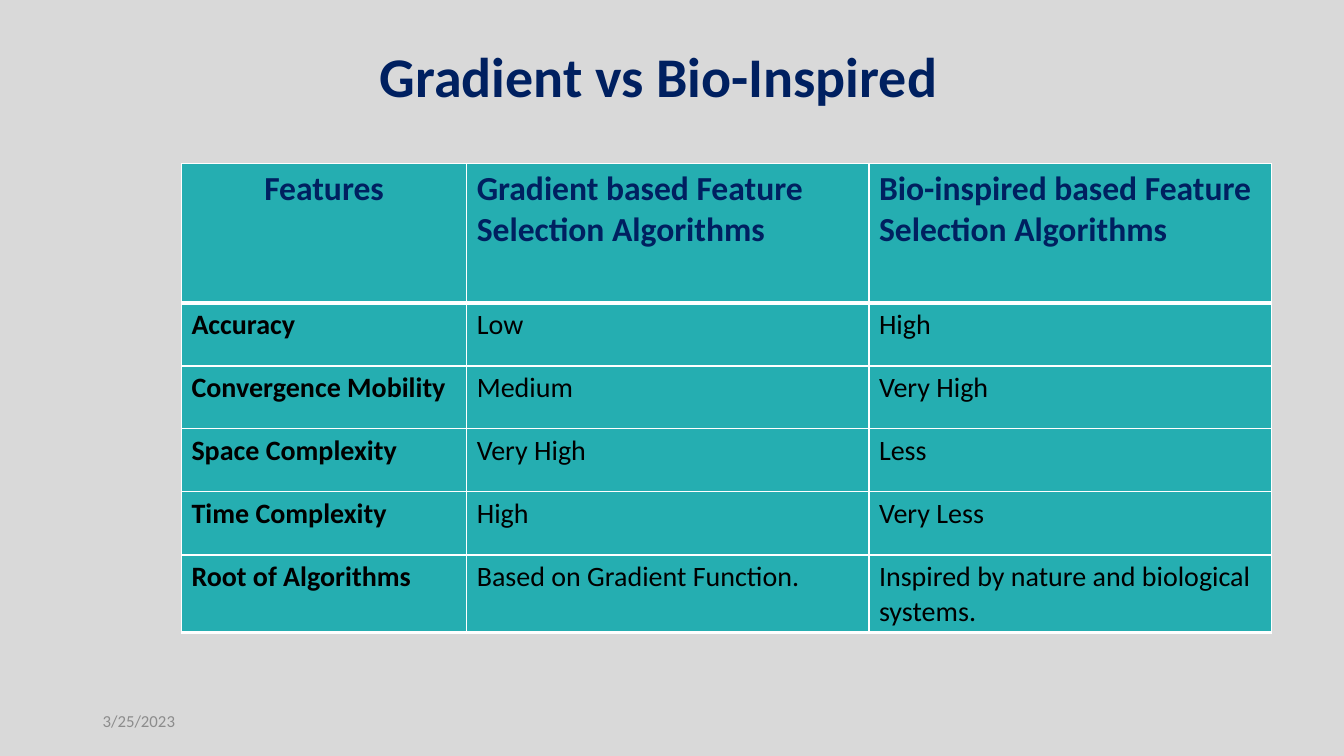
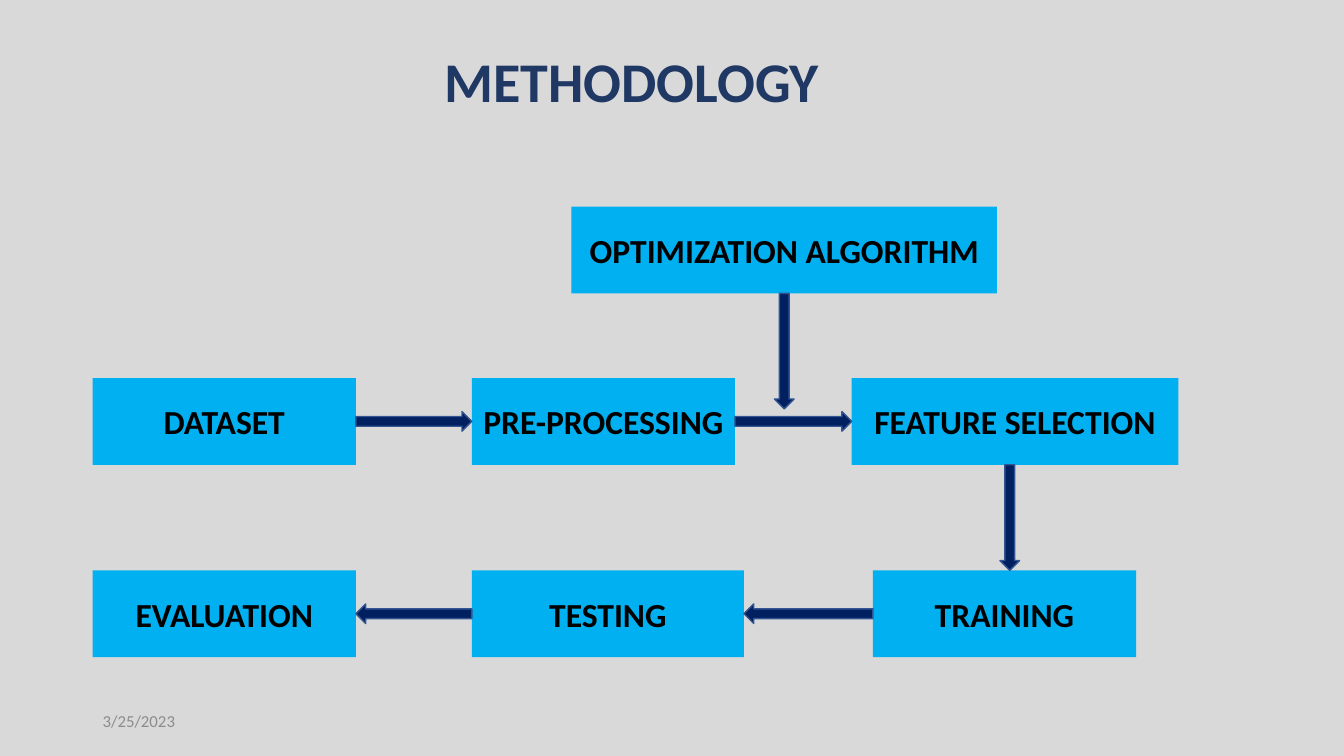
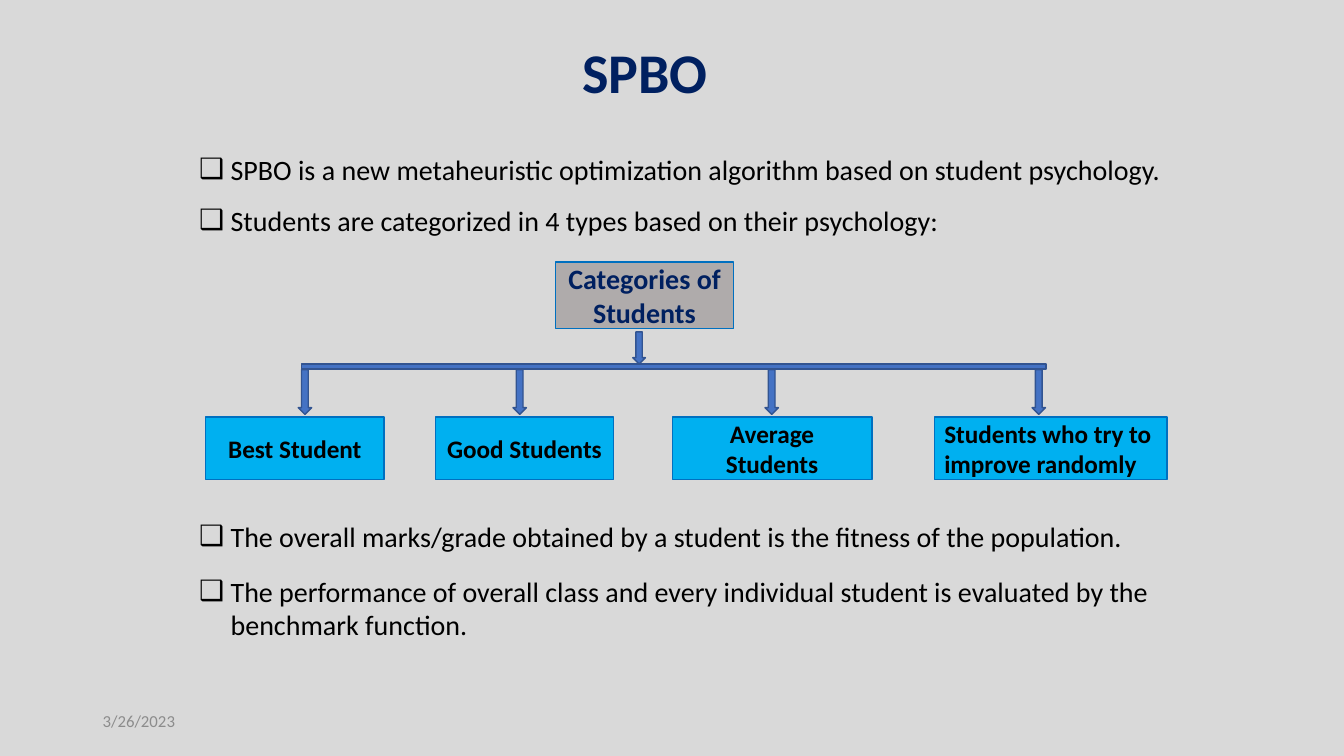
import pptx
import pptx.dml.color
import pptx.enum.shapes
import pptx.enum.text
import pptx.oxml.ns
import pptx.util
from lxml import etree

Pt = pptx.util.Pt
RGBColor = pptx.dml.color.RGBColor
SHAPE = pptx.enum.shapes.MSO_SHAPE
ALIGN = pptx.enum.text.PP_ALIGN
ANCHOR = pptx.enum.text.MSO_ANCHOR
qn = pptx.oxml.ns.qn

# Theme
FONT = "Calibri"
BACKGROUND = RGBColor(0xD9, 0xD9, 0xD9)
NAVY = RGBColor(0x00, 0x20, 0x60)
SLATE = RGBColor(0x20, 0x38, 0x64)
BLACK = RGBColor(0x00, 0x00, 0x00)
WHITE = RGBColor(0xFF, 0xFF, 0xFF)
DATE_GREY = RGBColor(0x8C, 0x8C, 0x8C)
TEAL = RGBColor(0x25, 0xAE, 0xB1)
SKY = RGBColor(0x00, 0xB0, 0xF0)
BOX_EDGE = RGBColor(0x00, 0x70, 0xC0)
WARM_GREY = RGBColor(0xAF, 0xAB, 0xAB)
BLUE = RGBColor(0x44, 0x72, 0xC4)
ARROW_EDGE = RGBColor(0x32, 0x54, 0x91)
TITLE_ONLY, TWO_CONTENT = 5, 3

# Comparison slide: (top, row heights, rows)
TABLE_LEFT = 129.6
COLUMN_WIDTHS = [203.8, 287.3, 287.3]
HEADER = ["Features", "Gradient based Feature Selection Algorithms",
          "Bio-inspired based Feature Selection Algorithms"]
COMPARISON = [
    HEADER,
    ["Accuracy", "Low", "High"],
    ["Convergence Mobility", "Medium", "Very High"],
    ["Space Complexity", "Very High", "Less"],
    ["Time Complexity", "High", "Very Less"],
]
ROOT_ROW = [["Root of Algorithms", "Based on Gradient Function.",
             "Inspired by nature and biological systems."]]
TABLES = [(116.8, [99.8] + [44.9] * 4, COMPARISON), (396.6, [52.8], ROOT_ROW)]

# Methodology slide: name -> (left, top, width)
STEP_HEIGHT = 62
TOP_ROW, MIDDLE_ROW, BOTTOM_ROW = 147.6, 270, 407.4
STEPS = {
    "DATASET": (66.2, MIDDLE_ROW, 188),
    "PRE-PROCESSING": (337, MIDDLE_ROW, 188),
    "OPTIMIZATION ALGORITHM": (408.2, TOP_ROW, 304),
    "FEATURE SELECTION": (608.4, MIDDLE_ROW, 233.3),
    "TRAINING": (623.5, BOTTOM_ROW, 188),
    "TESTING": (337, BOTTOM_ROW, 194.4),
    "EVALUATION": (66.2, BOTTOM_ROW, 188),
}
FLOW = ["DATASET", "PRE-PROCESSING", "FEATURE SELECTION",
        "TRAINING", "TESTING", "EVALUATION"]

# Student categories: (name, left, width, alignment, arrow centre)
CATEGORIES = [
    ("Best Student", 147, 127.4, ALIGN.CENTER, 217.8),
    ("Good Students", 311, 127.4, ALIGN.CENTER, 371.2),
    ("Average Students", 480.2, 142.6, ALIGN.CENTER, 551.2),
    ("Students who try to improve randomly", 667.4, 166.3, ALIGN.LEFT, 742),
]
# Bullet lists: (left, top, width, height), gap between items, items
BULLET_LISTS = [
    ((135, 105.1, 737, 69), 12.3, [
        "SPBO is a new metaheuristic optimization algorithm based on student psychology.",
        "Students are categorized in 4 types based on their psychology:"]),
    ((135, 367.2, 699, 96), 15.2, [
        "The overall marks/grade obtained by a student is the fitness of the population.",
        "The performance of overall class and every individual student is evaluated "
        "by the benchmark function."]),
]


def place(shape, left, top, width, height):
    shape.left, shape.top = Pt(left), Pt(top)
    shape.width, shape.height = Pt(width), Pt(height)


def style(paragraph, size, color, bold=False, align=ALIGN.LEFT):
    paragraph.alignment = align
    font = paragraph.font
    font.name, font.size, font.bold = FONT, Pt(size), bold
    font.color.rgb = color


def add_slide(presentation, layout, title, box, date, color=NAVY, align=ALIGN.CENTER):
    slide = presentation.slides.add_slide(presentation.slide_layouts[layout])
    # Title
    place(slide.shapes.title, *box)
    frame = slide.shapes.title.text_frame
    frame.text = title
    frame.auto_size = pptx.enum.text.MSO_AUTO_SIZE.NONE
    frame.vertical_anchor = ANCHOR.TOP
    style(frame.paragraphs[0], 40, color, True, align)
    # Date
    frame = slide.shapes.add_textbox(Pt(66.2), Pt(500.4), Pt(216), Pt(28.8)).text_frame
    frame.word_wrap = True
    frame.vertical_anchor = ANCHOR.MIDDLE
    frame.text = date
    style(frame.paragraphs[0], 12, DATE_GREY)
    return slide


def add_block(slide, kind, box, fill, edge=None):
    shape = slide.shapes.add_shape(kind, *map(Pt, box))
    shape.shadow.inherit = False
    shape.fill.solid()
    shape.fill.fore_color.rgb = fill
    if edge is None:
        shape.line.fill.background()
    else:
        shape.line.color.rgb = edge
        shape.line.width = Pt(1)
    return shape


def add_label_box(slide, text, box, size, fill=SKY, edge=None, color=BLACK,
                  align=ALIGN.CENTER):
    frame = add_block(slide, SHAPE.RECTANGLE, box, fill, edge).text_frame
    frame.word_wrap = True
    frame.vertical_anchor = ANCHOR.MIDDLE
    frame.text = text
    style(frame.paragraphs[0], size, color, True, align)


def add_block_arrow(slide, start, end, thickness, fill):
    (x1, y1), (x2, y2) = start, end
    if x1 == x2:
        kind = SHAPE.DOWN_ARROW
        box = (x1 - thickness / 2, y1, thickness, y2 - y1)
    else:
        kind = SHAPE.RIGHT_ARROW if x2 > x1 else SHAPE.LEFT_ARROW
        box = (min(x1, x2), y1 - thickness / 2, abs(x2 - x1), thickness)
    add_block(slide, kind, box, fill, ARROW_EDGE)


def set_borders(cell, bottom_width):
    properties = cell._tc.get_or_add_tcPr()
    sides = [("a:lnL", 1), ("a:lnR", 1), ("a:lnT", 1), ("a:lnB", bottom_width)]
    for index, (tag, width) in enumerate(sides):
        line = etree.Element(qn(tag), w=str(Pt(width)))
        fill = etree.SubElement(line, qn("a:solidFill"))
        etree.SubElement(fill, qn("a:srgbClr"), val=str(WHITE))
        properties.insert(index, line)


def add_comparison_table(slide, top, heights, rows):
    table = slide.shapes.add_table(
        len(rows), len(COLUMN_WIDTHS), Pt(TABLE_LEFT), Pt(top),
        Pt(sum(COLUMN_WIDTHS)), Pt(sum(heights))).table
    table.first_row = table.horz_banding = False
    for column, width in zip(table.columns, COLUMN_WIDTHS):
        column.width = Pt(width)
    for row, height, texts in zip(table.rows, heights, rows):
        row.height = Pt(height)
        is_header = texts is HEADER
        thick = is_header or rows is ROOT_ROW
        for index, (cell, text) in enumerate(zip(row.cells, texts)):
            cell.text = text
            cell.fill.solid()
            cell.fill.fore_color.rgb = TEAL
            set_borders(cell, 3 if thick else 1)
            paragraph = cell.text_frame.paragraphs[0]
            if is_header:
                style(paragraph, 24, NAVY, True, ALIGN.LEFT if index else ALIGN.CENTER)
            else:
                style(paragraph, 20, BLACK, index == 0)


def fill_bullets(placeholder, box, gap, items):
    place(placeholder, *box)
    frame = placeholder.text_frame
    frame.text = "\n".join(items)
    frame.auto_size = pptx.enum.text.MSO_AUTO_SIZE.NONE
    for index, paragraph in enumerate(frame.paragraphs):
        properties = paragraph._p.get_or_add_pPr()
        properties.set("marL", str(Pt(22.5)))
        properties.set("indent", str(Pt(-22.5)))
        etree.SubElement(properties, qn("a:buChar"), char="❑")
        paragraph.space_before = Pt(gap if index else 0)
        style(paragraph, 20, BLACK)


def build_comparison(presentation):
    slide = add_slide(presentation, TITLE_ONLY, "Gradient vs Bio-Inspired",
                      (128, 26, 685, 55.4), "3/25/2023")
    for top, heights, rows in TABLES:
        add_comparison_table(slide, top, heights, rows)


def build_methodology(presentation):
    slide = add_slide(presentation, TITLE_ONLY, "METHODOLOGY",
                      (310.3, 29.5, 592.6, 55.4), "3/25/2023", SLATE, ALIGN.LEFT)
    for name, (left, top, width) in STEPS.items():
        add_label_box(slide, name, (left, top, width, STEP_HEIGHT), 24)
    # Arrows between consecutive steps
    for source, target in zip(FLOW, FLOW[1:]):
        left, top, width = STEPS[source]
        next_left, next_top, next_width = STEPS[target]
        middle = top + STEP_HEIGHT / 2
        if top != next_top:
            center = (left + width / 2 + next_left + next_width / 2) / 2
            start, end = (center, top + STEP_HEIGHT), (center, next_top)
        elif next_left > left:
            start, end = (left + width, middle), (next_left, middle)
        else:
            start, end = (left, middle), (next_left + next_width, middle)
        add_block_arrow(slide, start, end, 14, NAVY)
    # Optimization feeds the arrow into feature selection
    left, top, width = STEPS["OPTIMIZATION ALGORITHM"]
    center = left + width / 2
    add_block_arrow(slide, (center, top + STEP_HEIGHT), (center, 292), 14, NAVY)


def build_spbo(presentation):
    slide = add_slide(presentation, TWO_CONTENT, "SPBO",
                      (174.2, 23, 573.1, 55.4), "3/26/2023")
    for placeholder, bullets in zip(list(slide.placeholders)[1:], BULLET_LISTS):
        fill_bullets(placeholder, *bullets)
    # Category tree
    add_label_box(slide, "Categories of Students", (396.7, 187.2, 127.4, 47.5), 20,
                  WARM_GREY, BOX_EDGE, NAVY)
    add_block_arrow(slide, (456.5, 237), (456.5, 260), 9, BLUE)
    add_block(slide, SHAPE.RECTANGLE, (215.3, 260, 532, 3.6), BLUE, ARROW_EDGE)
    for name, left, width, align, center in CATEGORIES:
        add_label_box(slide, name, (left, 298, width, 44.4), 18,
                      edge=BOX_EDGE, align=align)
        add_block_arrow(slide, (center, 264), (center, 296), 9.6, BLUE)


def main():
    presentation = pptx.Presentation()
    presentation.slide_width, presentation.slide_height = Pt(960), Pt(540)
    background = presentation.slide_master.background.fill
    background.solid()
    background.fore_color.rgb = BACKGROUND
    build_comparison(presentation)
    build_methodology(presentation)
    build_spbo(presentation)
    presentation.save("out.pptx")


if __name__ == "__main__":
    main()
